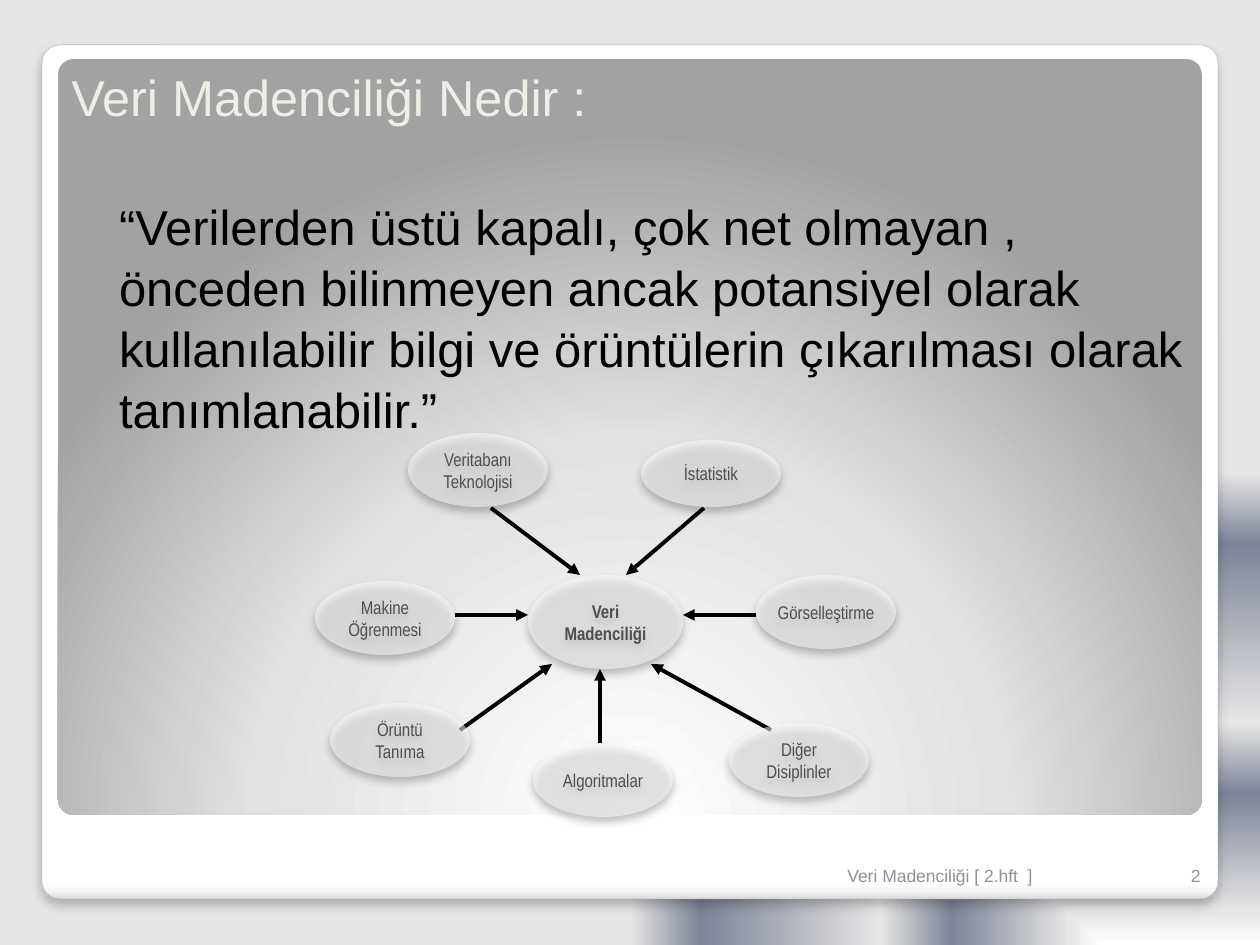
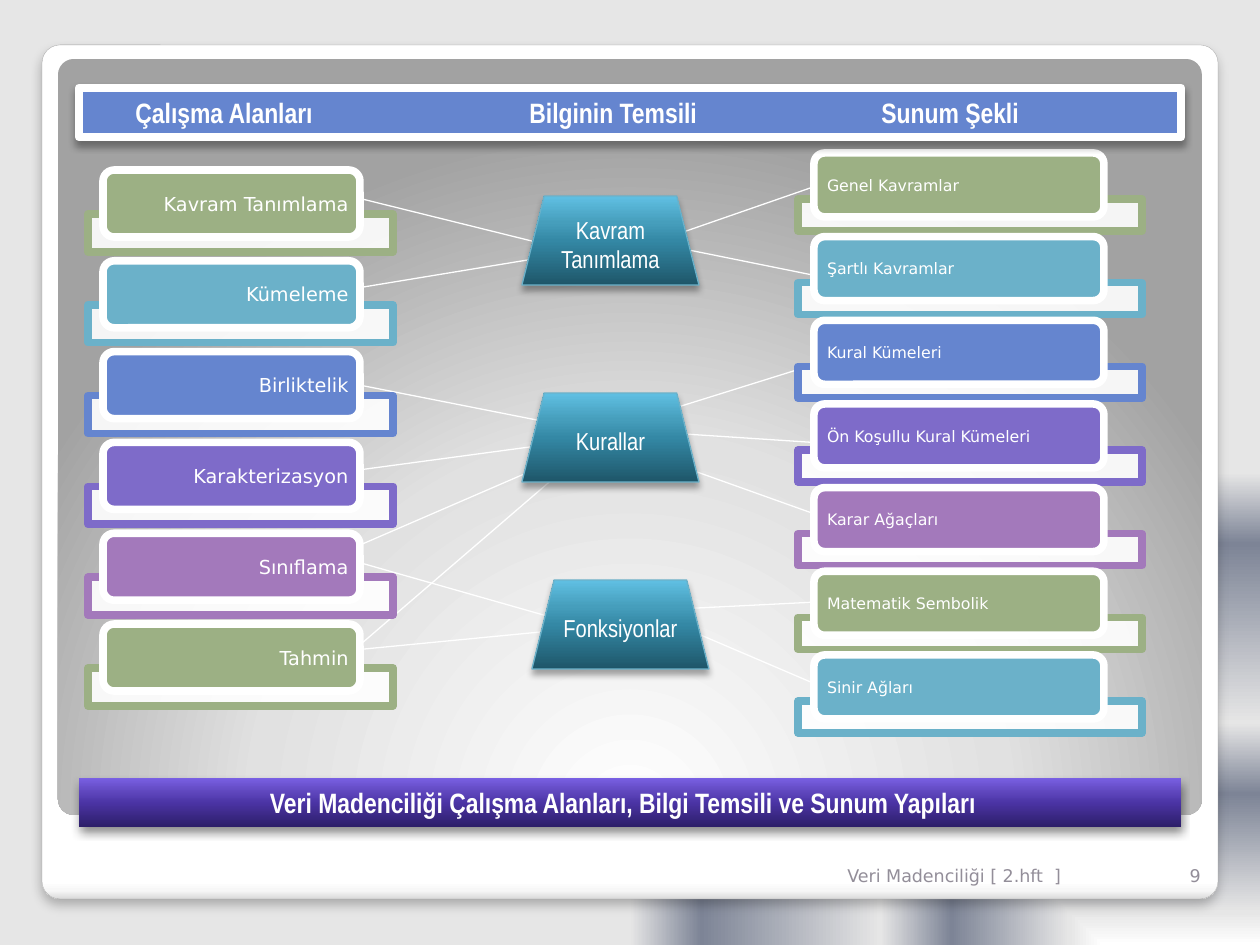
from lxml import etree
from pptx import Presentation, util as u
from pptx.dml.color import RGBColor
from pptx.enum import shapes, text
from pptx.oxml import ns

PX = 914400 / 126  # EMU per px
SHAPE, ALIGN, ANCHOR = shapes.MSO_SHAPE, text.PP_ALIGN, text.MSO_ANCHOR

# Colours and fonts
WHITE = RGBColor(0xFF, 0xFF, 0xFF)
BLACK = RGBColor(0x00, 0x00, 0x00)
TITLE = RGBColor(0xEB, 0xEF, 0xE6)
NODE_TEXT = RGBColor(0x4F, 0x4D, 0x52)
FOOTER = RGBColor(0x93, 0x8E, 0x99)
CARD_EDGE = RGBColor(0xA4, 0xA4, 0xA4)
GREEN = RGBColor(0x9C, 0xB0, 0x84)
TEAL = RGBColor(0x6B, 0xB1, 0xC9)
BLUE = RGBColor(0x65, 0x85, 0xCF)
VIOLET = RGBColor(0x7E, 0x6B, 0xC9)
MAUVE = RGBColor(0xA3, 0x79, 0xBB)
ACCENTS = [GREEN, TEAL, BLUE, VIOLET, MAUVE]
SANS, NARROW, WIDE = "Arial", "Arial Narrow", "DejaVu Sans"

# Gradients: stops, then either an angle or a focus (path, l, t, r, b)
BACKDROP = ([(0, "FFFFFF"), (7, "E6E6E6"), (32, "7D8496"), (47, "E6E6E6"),
             (85, "7D8496"), (100, "E6E6E6")], ("rect", 100, 100, 0, 0))
CARD_FILL = ([(0, "FFFFFF"), (98, "FFFFFF"), (99, "F7F7F7"), (100, "DADADA")], 90)
PANEL_FILL = ([(0, "FFFFFF"), (55, "E1E1E1"), (100, "A2A2A2")],
              ("circle", 50, 175, 50, -75))
HUB_FILL = ([(0, "1E5669"), (50, "3488A5"), (70, "469EBC"), (100, "60C0E3")], 270)
BANNER_FILL = ([(0, "2D1E69"), (50, "4B34A5"), (70, "5E46BC"), (100, "7960E3")], 270)

# Shadows: opacity %, blur pt, distance pt
CARD_SHADOW, DEEP_SHADOW, SOFT_SHADOW = (25, 6, 4), (45, 5, 3), (35, 4, 3)

# Content: definition slide
FOOTER_TEXT = "Veri Madenciliği [ 2.hft  ]"
HEADING = "Veri Madenciliği Nedir :"
DEFINITION = ("“Verilerden üstü kapalı, çok net olmayan , önceden bilinmeyen ancak "
              "potansiyel olarak kullanılabilir bilgi ve örüntülerin çıkarılması "
              "olarak tanımlanabilir.”")
CENTRE = ("Veri\nMadenciliği", (528, 575, 155, 94))
DISCIPLINES = [  # label, box, arrow from and to
    ("Veritabanı\nTeknolojisi", (408, 433, 140, 74), (491, 508, 580, 575)),
    ("İstatistik", (641, 440, 140, 67), (704, 508, 626, 575)),
    ("Makine\nÖğrenmesi", (315, 581, 140, 74), (455, 615, 528, 615)),
    ("Örüntü\nTanıma", (330, 703, 140, 74), (460, 730, 552, 664)),
    ("Algoritmalar", (533, 743, 140, 74), (600, 743, 600, 669)),
    ("Diğer\nDisiplinler", (729, 723, 140, 74), (771, 730, 651, 664)),
    ("Görselleştirme", (756, 575, 140, 74), (756, 615, 683, 615)),
]

# Content: map slide
HEADERS = [("Çalışma Alanları", 44), ("Bilginin Temsili", 438), ("Sunum Şekli", 790)]
BANNER = "Veri Madenciliği Çalışma Alanları, Bilgi Temsili ve Sunum Yapıları"
FIELDS = dict(
    labels=["Kavram Tanımlama", "Kümeleme", "Birliktelik", "Karakterizasyon",
            "Sınıflama", "Tahmin"],
    frame=(88, 214, 305, 38), card=(103, 170, 257, 67), span=454,
    size=11, inset=8, align=ALIGN.RIGHT)
OUTPUTS = dict(
    labels=["Genel Kavramlar", "Şartlı Kavramlar", "Kural Kümeleri",
            "Ön Koşullu Kural Kümeleri", "Karar Ağaçları", "Matematik Sembolik",
            "Sinir Ağları"],
    frame=(798, 199, 344, 32), card=(814, 153, 290, 64), span=502,
    size=9, inset=10, align=ALIGN.LEFT)
HUBS = [  # label, left and top, links
    ("Kavram\nTanımlama", (522, 196),
     [(354, 197, 552, 246), (315, 295, 552, 256),
      (669, 237, 816, 186), (669, 246, 867, 286)]),
    ("Kurallar", (522, 393),
     [(354, 384, 552, 423), (344, 472, 552, 444), (344, 552, 552, 462),
      (354, 650, 561, 472), (659, 413, 816, 364), (669, 433, 837, 444),
      (669, 462, 837, 522)]),
    ("Fonksiyonlar", (532, 580),
     [(354, 561, 561, 620), (354, 650, 561, 630),
      (678, 609, 837, 601), (689, 630, 827, 689)]),
]


def px(*lengths):
    return [u.Emu(round(length * PX)) for length in lengths]


def child(parent, tag, **attributes):
    return etree.SubElement(parent, ns.qn(tag),
                            {key: str(value) for key, value in attributes.items()})


def set_gradient(fill, holder, gradient):
    """Put a gradient in place of the solid fill of holder."""
    stops, direction = gradient
    fill.solid()
    fill.fore_color.rgb = WHITE
    solid = holder.find(ns.qn("a:solidFill"))
    element = etree.Element(ns.qn("a:gradFill"), rotWithShape="1")
    stop_list = child(element, "a:gsLst")
    for position, colour in stops:
        child(child(stop_list, "a:gs", pos=position * 1000), "a:srgbClr", val=colour)
    if isinstance(direction, tuple):
        kind, *sides = direction
        focus = {side: value * 1000 for side, value in zip("ltrb", sides)}
        child(child(element, "a:path", path=kind), "a:fillToRect", **focus)
    else:
        child(element, "a:lin", ang=direction * 60000, scaled=0)
    holder.replace(solid, element)


def write(shape, words, font, size, colour, align=ALIGN.LEFT, anchor=ANCHOR.MIDDLE,
          bold=False, wrap=True, insets=None):
    frame = shape.text_frame
    frame.word_wrap = wrap
    frame.vertical_anchor = anchor
    if insets:
        (frame.margin_left, frame.margin_top,
         frame.margin_right, frame.margin_bottom) = px(*insets)
    frame.text = words
    for paragraph in frame.paragraphs:
        paragraph.alignment = align
        paragraph.font.name = font
        paragraph.font.size = u.Pt(size)
        paragraph.font.bold = bold
        paragraph.font.color.rgb = colour
    return frame


def add_text(slide, box, *args, **options):
    return write(slide.shapes.add_textbox(*px(*box)), *args, **options)


def add_block(slide, kind, box, fill, alpha=None, line=None, width=0, shadow=None):
    """Preset shape with a solid or gradient fill and an optional shadow."""
    shape = slide.shapes.add_shape(kind, *px(*box))
    properties = shape._element.spPr
    if isinstance(fill, RGBColor):
        shape.fill.solid()
        shape.fill.fore_color.rgb = fill
    else:
        set_gradient(shape.fill, properties, fill)
    if alpha:
        colour = properties.find(ns.qn("a:solidFill"))[0]
        child(colour, "a:alpha", val=alpha * 1000)
    if line is None:
        shape.line.fill.background()
    else:
        shape.line.color.rgb = line
        shape.line.width = u.Pt(width)
    shape.shadow.inherit = False
    if shadow:
        opacity, blur, distance = shadow
        outer = child(properties.find(ns.qn("a:effectLst")), "a:outerShdw",
                      blurRad=u.Pt(blur), dist=u.Pt(distance), dir=90 * 60000,
                      algn="ctr", rotWithShape=0)
        child(child(outer, "a:srgbClr", val="000000"), "a:alpha", val=opacity * 1000)
    return shape


def add_line(slide, ends, colour, width, arrow=False):
    line = slide.shapes.add_connector(shapes.MSO_CONNECTOR.STRAIGHT, *px(*ends))
    line.line.color.rgb = colour
    line.line.width = u.Pt(width)
    if arrow:
        child(line.line._get_or_add_ln(), "a:tailEnd", type="triangle")
    child(line._element.spPr, "a:effectLst")


def add_base(presentation, number, font):
    """Slide with the backdrop, white card, grey panel and footer."""
    slide = presentation.slides.add_slide(presentation.slide_layouts[6])
    fill = slide.background.fill
    fill.solid()
    set_gradient(fill, slide._element.find(".//" + ns.qn("p:bgPr")), BACKDROP)
    card = add_block(slide, SHAPE.ROUNDED_RECTANGLE, (42, 45, 1176, 854), CARD_FILL,
                     line=CARD_EDGE, width=0.16, shadow=CARD_SHADOW)
    panel = add_block(slide, SHAPE.ROUNDED_RECTANGLE, (58, 59, 1144, 756), PANEL_FILL)
    for shape in (card, panel):
        shape.adjustments[0] = 0.021
    add_text(slide, (835, 842, 315, 50), FOOTER_TEXT, font, 10, FOOTER,
             anchor=ANCHOR.BOTTOM)
    add_text(slide, (1150, 842, 63, 50), str(number), font, 10, FOOTER,
             align=ALIGN.RIGHT, anchor=ANCHOR.BOTTOM)
    return slide


def add_node(slide, label, box, bold=False):
    node = add_block(slide, SHAPE.OVAL, box, WHITE, alpha=52, shadow=DEEP_SHADOW)
    write(node, label, NARROW, 10.5, NODE_TEXT, ALIGN.CENTER, bold=bold, wrap=False)


def add_stack(slide, labels, frame, card, span, size, inset, align):
    """Evenly spaced cards, each over a framed strip."""
    for index, label in enumerate(labels):
        drop = span * index / (len(labels) - 1)
        accent = ACCENTS[index % len(ACCENTS)]
        strip_box, card_box = [(left, top + drop, width, height)
                               for left, top, width, height in (frame, card)]
        add_block(slide, SHAPE.RECTANGLE, strip_box, WHITE, 90, accent, 4.33)
        front = add_block(slide, SHAPE.ROUNDED_RECTANGLE, card_box, accent,
                          line=WHITE, width=4.33)
        write(front, label, WIDE, size, WHITE, align, insets=(inset, 0, inset, 0))


def build_definition(presentation):
    slide = add_base(presentation, 2, SANS)
    add_text(slide, (59, 59, 1128, 74), HEADING, SANS, 28.8, TITLE,
             anchor=ANCHOR.BOTTOM)
    body = add_text(slide, (69, 115, 1128, 236), DEFINITION, SANS, 28, BLACK,
                    anchor=ANCHOR.TOP, insets=(50, 79, 13, 6))
    body.paragraphs[0].line_spacing = 1.04
    add_node(slide, *CENTRE, bold=True)
    for _, _, ends in DISCIPLINES:
        add_line(slide, ends, BLACK, 2.25, arrow=True)
    for label, box, _ in DISCIPLINES:
        add_node(slide, label, box)


def build_map(presentation):
    slide = add_base(presentation, 9, WIDE)
    for _, _, links in HUBS:
        for ends in links:
            add_line(slide, ends, WHITE, 0.75)
    add_stack(slide, **FIELDS)
    add_stack(slide, **OUTPUTS)
    for label, corner, _ in HUBS:
        hub = add_block(slide, SHAPE.TRAPEZOID, (*corner, 177, 89), HUB_FILL,
                        line=TEAL, width=0.75, shadow=SOFT_SHADOW)
        write(hub, label, NARROW, 14, WHITE, ALIGN.CENTER)

    # Closing banner
    banner = add_block(slide, SHAPE.RECTANGLE, (79, 778, 1102, 49), BANNER_FILL,
                       shadow=DEEP_SHADOW)
    write(banner, BANNER, NARROW, 16, WHITE, ALIGN.CENTER, bold=True,
          insets=(13, 6, 27, 6))

    # Header bar, one tab stop per column title
    header = add_block(slide, SHAPE.RECTANGLE, (79, 88, 1102, 49), BLUE,
                       line=WHITE, width=5, shadow=SOFT_SHADOW)
    titles = "".join("\t" + title for title, _ in HEADERS)
    frame = write(header, titles, NARROW, 16, WHITE, bold=True)
    properties = frame.paragraphs[0]._p.get_or_add_pPr()
    tabs = etree.Element(ns.qn("a:tabLst"))
    for _, stop in HEADERS:
        child(tabs, "a:tab", pos=px(stop)[0], algn="l")
    properties.find(ns.qn("a:defRPr")).addprevious(tabs)


def main():
    presentation = Presentation()
    presentation.slide_width, presentation.slide_height = px(1260, 945)
    build_definition(presentation)
    build_map(presentation)
    presentation.save("out.pptx")


if __name__ == "__main__":
    main()
